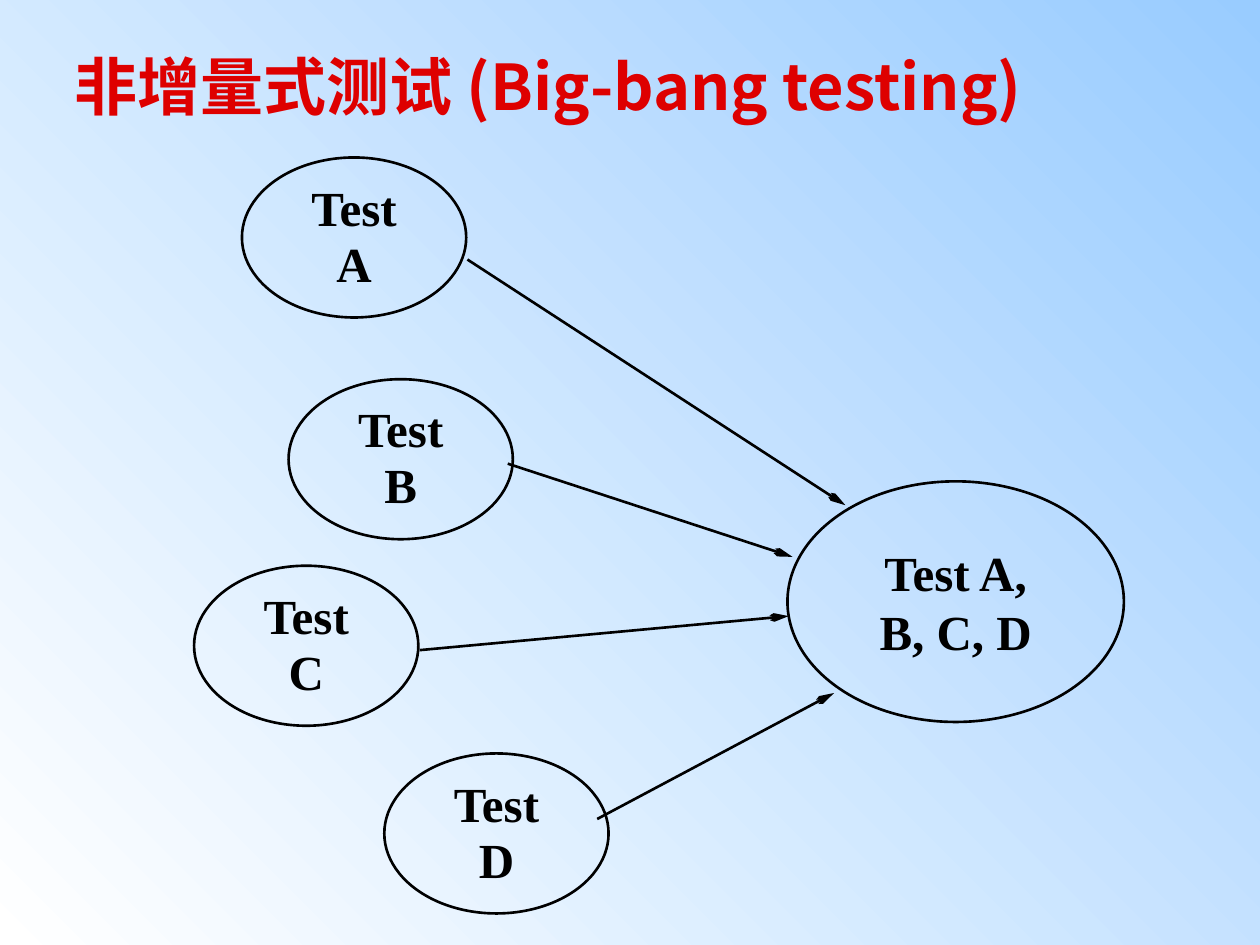
from dataclasses import dataclass

from lxml import etree
from pptx import Presentation
from pptx import util as u
from pptx.dml.color import RGBColor
from pptx.enum import shapes, text
from pptx.oxml.ns import qn


@dataclass(frozen=True)
class Theme:
    title_font: str = "Noto Sans CJK SC"
    body_font: str = "Times New Roman"
    title_size: float = 36
    body_size: float = 28
    title_color: str = "DE0000"
    ink: str = "000000"
    sky: str = "99CCFF"
    paper: str = "FFFFFF"
    line_width: float = 1.5


THEME = Theme()
TITLE = "非增量式测试 (Big-bang testing)"
TITLE_BOX = (0.49, 0.33, 8.18, 1.3)
UNIT_SIZE = (1.78, 1.27)
# Module letter, left and top of its ellipse, start and end of its arrow
UNITS = [
    ("A", (1.92, 1.25), (3.71, 2.06), (6.71, 4.01)),
    ("B", (2.29, 3.01), (4.03, 3.68), (6.29, 4.42)),
    ("C", (1.54, 4.49), (3.33, 5.16), (6.26, 4.89)),
    ("D", (3.05, 5.98), (4.74, 6.5), (6.62, 5.5)),
]
WHOLE_LINES = ["Test A,", "B, C, D"]
WHOLE_BOX = (6.25, 3.82, 2.67, 1.91)


def inches(values):
    return [u.Inches(value) for value in values]


def write(shape, lines, *, font, size, color, align, anchor, wrap,
          line_spacing=None, space_before=None):
    frame = shape.text_frame
    frame.word_wrap = wrap
    frame.vertical_anchor = anchor
    frame.auto_size = text.MSO_AUTO_SIZE.NONE
    frame.text = "\n".join(lines)
    for paragraph in frame.paragraphs:
        paragraph.alignment = align
        paragraph.line_spacing = line_spacing
        paragraph.space_before = space_before
        for run in paragraph.runs:
            run.font.name = font
            run.font.size = u.Pt(size)
            run.font.bold = True
            run.font.color.rgb = RGBColor.from_string(color)
            east_asian = etree.SubElement(run.font._element, qn("a:ea"))
            east_asian.set("typeface", font)


def set_line(shape):
    shape.line.color.rgb = RGBColor.from_string(THEME.ink)
    shape.line.width = u.Pt(THEME.line_width)


def add_ellipse(slide, box, lines, line_spacing=None):
    shape = slide.shapes.add_shape(shapes.MSO_SHAPE.OVAL, *inches(box))
    shape.shadow.inherit = False
    shape.fill.background()
    set_line(shape)
    write(shape, lines, font=THEME.body_font, size=THEME.body_size,
          color=THEME.ink, align=text.PP_ALIGN.CENTER,
          anchor=text.MSO_ANCHOR.MIDDLE, wrap=False, line_spacing=line_spacing)


def add_arrow(slide, start, end):
    connector = slide.shapes.add_connector(
        shapes.MSO_CONNECTOR.STRAIGHT, *inches(start + end))
    set_line(connector)
    head = etree.SubElement(connector.line._get_or_add_ln(), qn("a:tailEnd"))
    for name, value in (("type", "arrow"), ("w", "sm"), ("len", "lg")):
        head.set(name, value)
    etree.SubElement(connector._element.spPr, qn("a:effectLst"))


def set_background(slide):
    fill = slide.background.fill
    fill.gradient()
    fill.gradient_angle = 225
    for stop, color in zip(fill.gradient_stops, (THEME.sky, THEME.paper)):
        stop.color.rgb = RGBColor.from_string(color)


def main():
    presentation = Presentation()
    presentation.slide_width, presentation.slide_height = inches((10, 7.5))
    slide = presentation.slides.add_slide(presentation.slide_layouts[5])
    set_background(slide)

    title = slide.shapes.title
    title.left, title.top, title.width, title.height = inches(TITLE_BOX)
    write(title, [TITLE], font=THEME.title_font, size=THEME.title_size,
          color=THEME.title_color, align=text.PP_ALIGN.LEFT,
          anchor=text.MSO_ANCHOR.TOP, wrap=True, space_before=u.Pt(22.5))

    add_ellipse(slide, WHOLE_BOX, WHOLE_LINES)
    for letter, corner, _, _ in UNITS:
        add_ellipse(slide, corner + UNIT_SIZE, ["Test", letter], line_spacing=0.95)
    for _, _, start, end in UNITS:
        add_arrow(slide, start, end)

    presentation.save("out.pptx")


if __name__ == "__main__":
    main()
